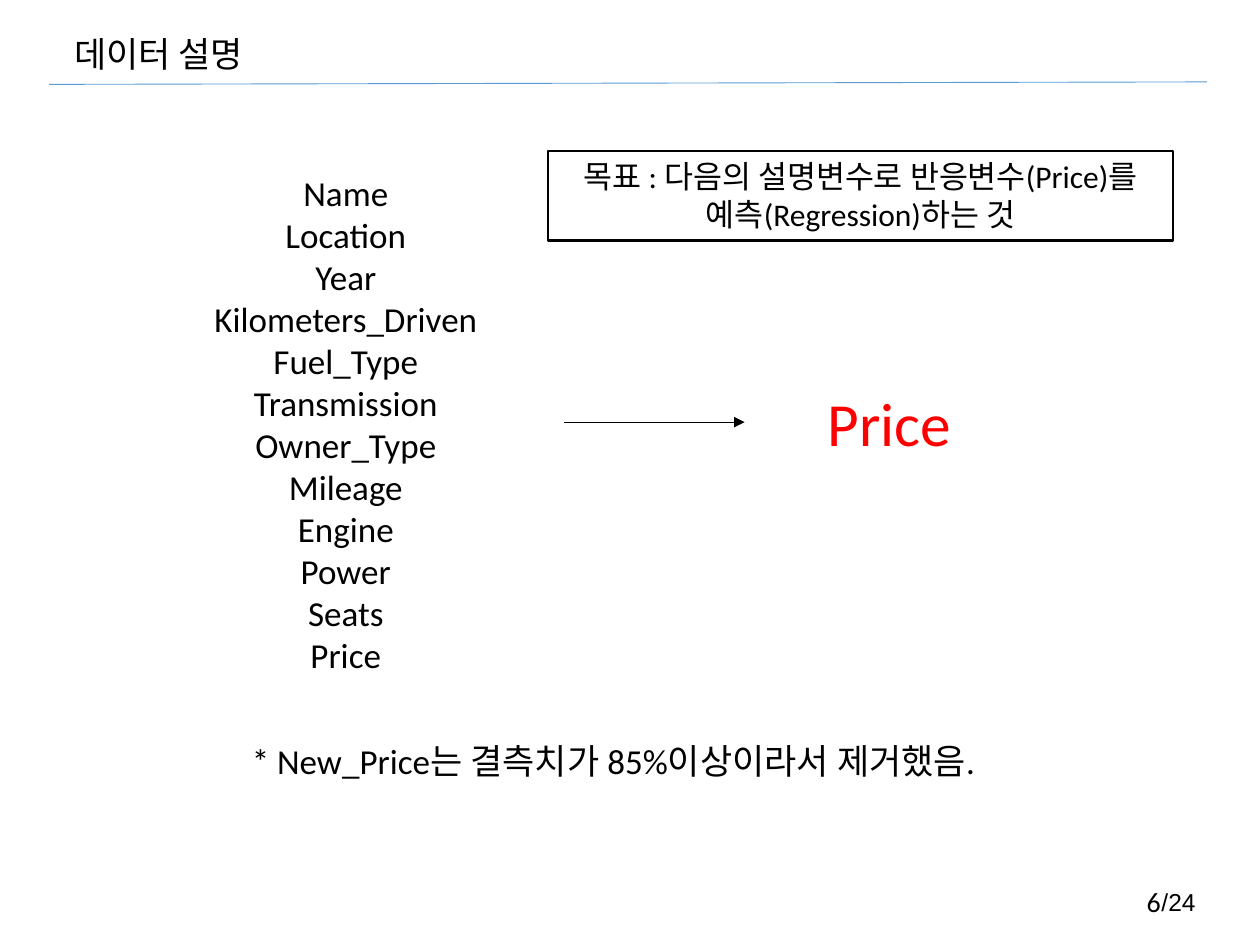
"""Build the data description slide listing the predictors and the response."""
from dataclasses import dataclass

from lxml.etree import SubElement
from pptx import Presentation
from pptx.dml.color import RGBColor
from pptx.enum.shapes import MSO_CONNECTOR, MSO_SHAPE
from pptx.enum.text import MSO_ANCHOR, PP_ALIGN
from pptx.oxml.ns import qn
from pptx.util import Inches, Pt


@dataclass(frozen=True)
class Theme:
    latin: str = "Calibri"
    korean: str = "Noto Sans CJK KR"
    total_font: str = "Arial"
    black: str = "000000"
    red: str = "FF0000"
    blue: str = "5B9BD5"
    total_size: int = 14
    number_size: int = 16
    goal_size: int = 18
    body_size: int = 20
    response_size: int = 35
    thin: float = 0.5
    frame: float = 1.5


THEME = Theme()
WIDTH, HEIGHT = Inches(10), Inches(7.5)
VARIABLES = [
    "Name", "Location", "Year", "Kilometers_Driven", "Fuel_Type", "Transmission",
    "Owner_Type", "Mileage", "Engine", "Power", "Seats", "Price",
]
GOAL_BOX = (43.5, 16, 49.6, 9.47)
TEXTS = [
    (["/24"], (91.2, 93.2, 5.7, 4.53),
     dict(size=THEME.total_size, latin=THEME.total_font)),
    (["6"], (70.6, 92.67, 22.5, 5.33),
     dict(size=THEME.number_size, align=PP_ALIGN.RIGHT, anchor=MSO_ANCHOR.MIDDLE)),
    (["데이터 설명"], (4.9, 2.8, 35.5, 5.87), dict(latin=THEME.korean)),
    (VARIABLES, (14.6, 17.47, 25.7, 55.2), dict(align=PP_ALIGN.CENTER)),
    (["Price"], (64.7, 40.13, 11.9, 9.2),
     dict(size=THEME.response_size, color=THEME.red, wrap=False)),
    (["* New_Price는 결측치가 85%이상이라서 제거했음."], (19, 77.6, 63, 5.87),
     dict(wrap=False)),
    (["목표 : 다음의 설명변수로 반응변수(Price)를 예측(Regression)하는 것"], GOAL_BOX,
     dict(size=THEME.goal_size, align=PP_ALIGN.CENTER)),
]
LINES = [
    ((3.9, 8.93, 95.8, 8.67), THEME.blue, False),
    ((44.8, 44.67, 59.1, 44.67), THEME.black, True),
]


def place(percentages):
    """Turn horizontal and vertical percentages into slide lengths."""
    return [int(share * side / 100)
            for share, side in zip(percentages, (WIDTH, HEIGHT) * 2)]


def add_text(slide, lines, box, size=THEME.body_size, color=THEME.black,
             latin=THEME.latin, align=PP_ALIGN.LEFT, anchor=MSO_ANCHOR.TOP, wrap=True):
    """Add a text box with one paragraph for each line."""
    frame = slide.shapes.add_textbox(*place(box)).text_frame
    frame.word_wrap = wrap
    frame.vertical_anchor = anchor
    frame.text = "\n".join(lines)
    for paragraph in frame.paragraphs:
        paragraph.alignment = align
        for run in paragraph.runs:
            run.font.size = Pt(size)
            run.font.name = latin
            run.font.color.rgb = RGBColor.from_string(color)
            SubElement(run.font._element, qn("a:ea"), typeface=THEME.korean)


def add_line(slide, ends, color, arrow):
    """Add a thin straight line, with an arrowhead at its end if asked."""
    connector = slide.shapes.add_connector(MSO_CONNECTOR.STRAIGHT, *place(ends))
    connector.line.color.rgb = RGBColor.from_string(color)
    connector.line.width = Pt(THEME.thin)
    if arrow:
        SubElement(connector.line._get_or_add_ln(), qn("a:tailEnd"), type="triangle")
    SubElement(connector._element.spPr, qn("a:effectLst"))


def add_frame(slide, box):
    """Add an unfilled black rectangle."""
    shape = slide.shapes.add_shape(MSO_SHAPE.RECTANGLE, *place(box))
    shape.shadow.inherit = False
    shape.fill.background()
    shape.line.color.rgb = RGBColor.from_string(THEME.black)
    shape.line.width = Pt(THEME.frame)


def main():
    """Assemble and save the presentation."""
    presentation = Presentation()
    presentation.slide_width, presentation.slide_height = WIDTH, HEIGHT
    slide = presentation.slides.add_slide(presentation.slide_layouts[6])
    for lines, box, style in TEXTS:
        add_text(slide, lines, box, **style)
    for ends, color, arrow in LINES:
        add_line(slide, ends, color, arrow)
    add_frame(slide, GOAL_BOX)
    presentation.save("out.pptx")


if __name__ == "__main__":
    main()
